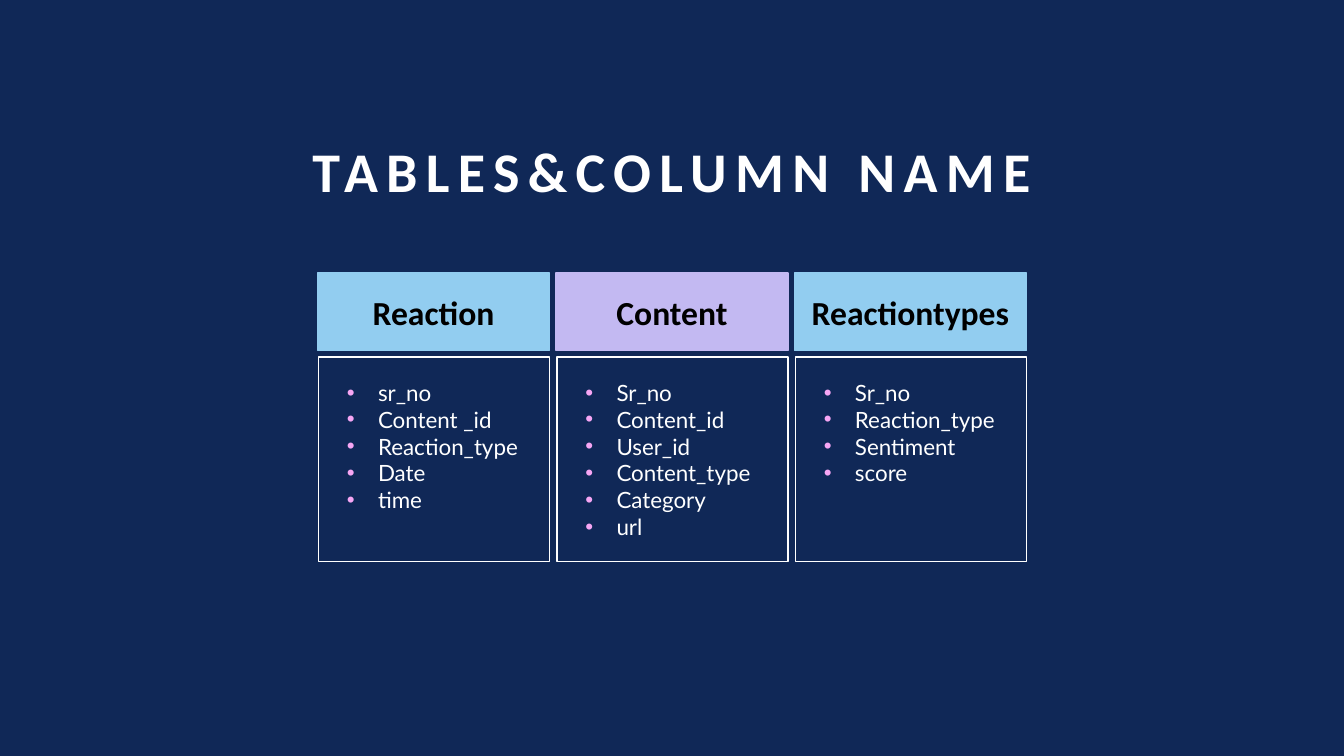
from lxml import etree
from pptx import Presentation
from pptx.dml.color import RGBColor
from pptx.enum.shapes import MSO_SHAPE
from pptx.enum.text import MSO_ANCHOR, MSO_AUTO_SIZE, PP_ALIGN
from pptx.oxml.ns import qn
from pptx.util import Inches, Pt

RECTANGLE = MSO_SHAPE.RECTANGLE
CENTER, LEFT = PP_ALIGN.CENTER, PP_ALIGN.LEFT
TOP, MIDDLE, BOTTOM = MSO_ANCHOR.TOP, MSO_ANCHOR.MIDDLE, MSO_ANCHOR.BOTTOM

COLORS = {
    "navy": "102857",
    "white": "FFFFFF",
    "black": "000000",
    "blue": "92CDF0",
    "lilac": "C3B9F2",
    "pink": "F6A6F4",
}

TABLES = [
    ("Reaction", "blue",
     ["sr_no", "Content _id", "Reaction_type", "Date", "time"]),
    ("Content", "lilac",
     ["Sr_no", "Content_id", "User_id", "Content_type", "Category", "url"]),
    ("Reactiontypes", "blue",
     ["Sr_no", "Reaction_type", "Sentiment", "score"]),
]
FIRST_LEFT, COLUMN_STEP = 3.15, 2.365
BULLET_INDENT = Inches(0.31)


def add_run(paragraph, text, font_name, size, color, bold=False):
    run = paragraph.add_run()
    run.text = text
    run.font.name = font_name
    run.font.size = Pt(size)
    run.font.bold = bold
    run.font.color.rgb = RGBColor.from_string(COLORS[color])
    return run


def add_box(left, top, width, height, line_color, fill_color=None):
    shape = slide.shapes.add_shape(
        RECTANGLE, Inches(left), Inches(top), Inches(width), Inches(height))
    shape.shadow.inherit = False
    if fill_color:
        shape.fill.solid()
        shape.fill.fore_color.rgb = RGBColor.from_string(COLORS[fill_color])
    else:
        shape.fill.background()
    shape.line.color.rgb = RGBColor.from_string(COLORS[line_color])
    shape.line.width = Pt(1)
    shape.text_frame.word_wrap = True
    return shape


presentation = Presentation()
presentation.slide_width = Inches(13.33)
presentation.slide_height = Inches(7.5)
slide = presentation.slides.add_slide(presentation.slide_layouts[5])
slide.background.fill.solid()
slide.background.fill.fore_color.rgb = RGBColor.from_string(COLORS["navy"])

# Title
title = slide.shapes.title
title.left, title.top = Inches(1.81), Inches(0.91)
title.width, title.height = Inches(9.71), Inches(1.17)
title.text_frame.word_wrap = True
title.text_frame.auto_size = MSO_AUTO_SIZE.NONE
title.text_frame.vertical_anchor = BOTTOM
paragraph = title.text_frame.paragraphs[0]
paragraph.alignment = CENTER
paragraph.line_spacing = 0.9
run = add_run(paragraph, "TABLES&COLUMN NAME", "Calibri", 40, "white", bold=True)
run.font._element.set("spc", "600")

for index, (table_name, color, column_names) in enumerate(TABLES):
    left = FIRST_LEFT + index * COLUMN_STEP

    # Table name
    header = add_box(left, 2.71, 2.3, 0.77, color, color)
    header.text_frame.vertical_anchor = MIDDLE
    paragraph = header.text_frame.paragraphs[0]
    paragraph.alignment = CENTER
    add_run(paragraph, table_name, "Calibri", 24, "black", bold=True)

    # Bulleted column names
    body = add_box(left + 0.01, 3.54, 2.29, 2.03, "white")
    frame = body.text_frame
    frame.vertical_anchor = TOP
    frame.margin_left, frame.margin_top = Inches(0.28), Inches(0.22)
    frame.margin_right, frame.margin_bottom = Inches(0.3), Inches(0.05)
    for row, column_name in enumerate(column_names):
        paragraph = frame.add_paragraph() if row else frame.paragraphs[0]
        paragraph.alignment = LEFT
        properties = paragraph._p.get_or_add_pPr()
        properties.set("marL", str(BULLET_INDENT))
        properties.set("indent", str(-BULLET_INDENT))
        bullet_color = etree.SubElement(properties, qn("a:buClr"))
        etree.SubElement(bullet_color, qn("a:srgbClr"), val=COLORS["pink"])
        etree.SubElement(properties, qn("a:buFont"), typeface="Arial")
        etree.SubElement(properties, qn("a:buChar"), char="•")
        add_run(paragraph, column_name, "Lato", 16, "white")

presentation.save("out.pptx")
